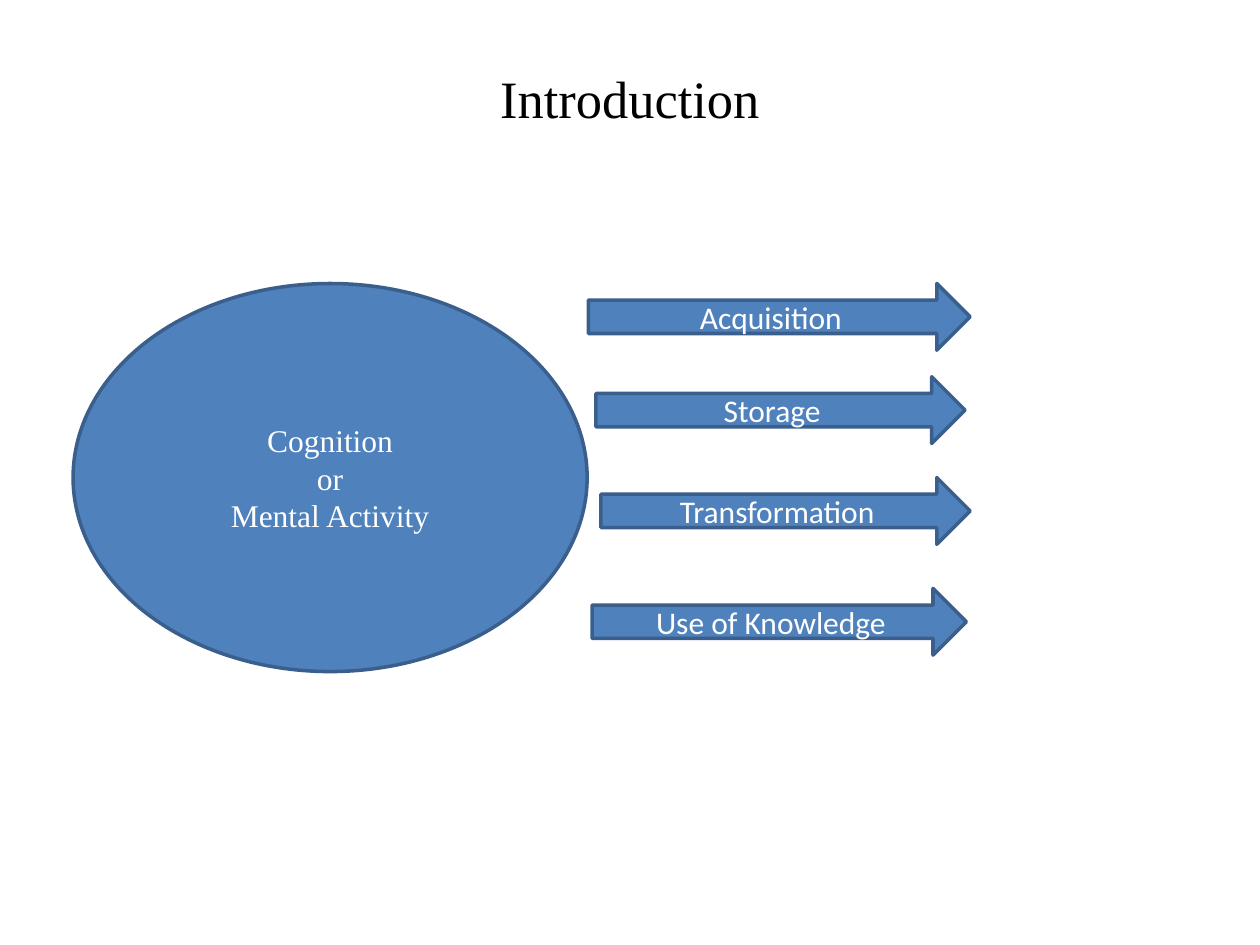
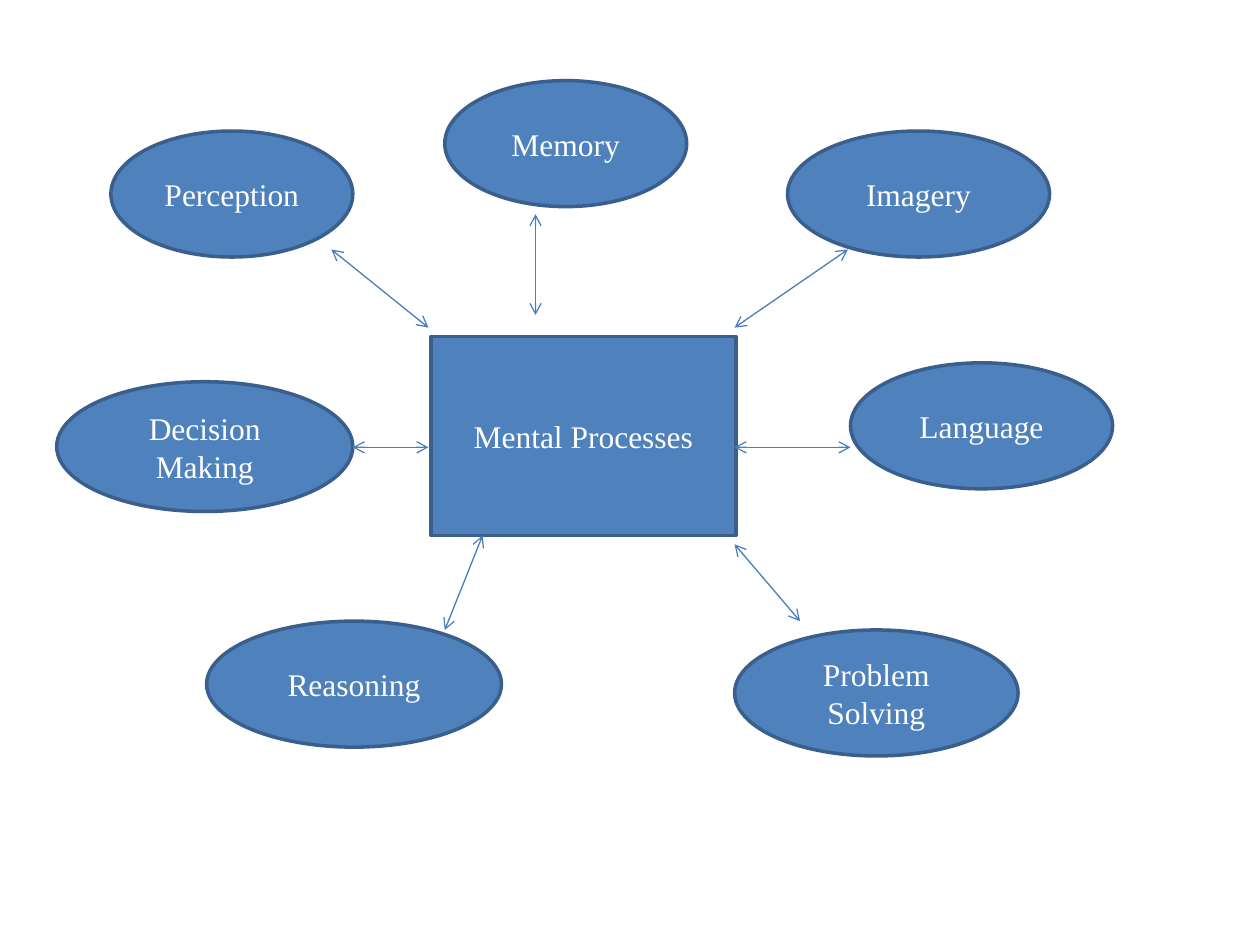
from lxml import etree
from pptx import Presentation
from pptx.dml.color import RGBColor
from pptx.enum.shapes import MSO_CONNECTOR, MSO_SHAPE
from pptx.enum.text import MSO_ANCHOR, PP_ALIGN
from pptx.oxml.ns import qn
from pptx.util import Pt

PX = 9144  # EMU per px, 100 px to the inch
BLANK_LAYOUT = 6
OVAL, RECTANGLE, ARROW = MSO_SHAPE.OVAL, MSO_SHAPE.RECTANGLE, MSO_SHAPE.RIGHT_ARROW
STRAIGHT = MSO_CONNECTOR.STRAIGHT
CENTER, MIDDLE = PP_ALIGN.CENTER, MSO_ANCHOR.MIDDLE

COLORS = {"title": "000000", "fill": "4F81BD", "outline": "3A5F8C",
          "label": "FFFFFF", "link": "4B7EBC"}
SERIF, SANS = "Times New Roman", "Calibri"
TITLE_SIZE, LABEL_SIZE = 30, 18

TITLE_BOX = (50, 30, 900, 95)
COGNITION_BOX = (58, 225, 712, 308)
PROCESSES_BOX = (45, 64, 838, 536)

# label, left, top, width within the diagram box
COGNITION_ARROWS = [
    ("Acquisition", 409, 0, 303),
    ("Storage", 415, 74, 293),
    ("Transformation", 419, 154, 293),
    ("Use of Knowledge", 412, 242, 297),
]
ARROW_HEIGHT = 53

# label, oval (left, top, width, height), link start, link end
PROCESSES = [
    ("Perception", (43, 40, 192, 100), (218, 134), (295, 196)),
    ("Memory", (308, 0, 192, 100), (380, 106), (380, 186)),
    ("Imagery", (580, 40, 208, 100), (628, 134), (538, 196)),
    ("Decision Making", (0, 239, 235, 103), (235, 291), (295, 291)),
    ("Reasoning", (119, 429, 234, 100), (338, 361), (308, 436)),
    ("Language", (630, 224, 208, 100), (538, 291), (630, 291)),
    ("Problem Solving", (538, 436, 225, 100), (538, 368), (590, 429)),
]
HUB = (297, 203, 242, 158)


def color(name):
    return RGBColor.from_string(COLORS[name])


def emu(*lengths):
    return [length * PX for length in lengths]


def within(box, left, top, *size):
    """Turn a place inside the box into slide lengths."""
    return emu(box[0] + left, box[1] + top, *size)


def set_text(shape, text, font, size, color_name):
    frame = shape.text_frame
    frame.word_wrap = True
    frame.vertical_anchor = MIDDLE
    frame.text = text
    for para in frame.paragraphs:
        para.alignment = CENTER
        for span in para.runs:
            span.font.name = font
            span.font.size = Pt(size)
            span.font.color.rgb = color(color_name)


def add_title(page, box, text):
    title = page.shapes.add_textbox(*emu(*box))
    set_text(title, text, TITLE_FONT, TITLE_SIZE, "title")


TITLE_FONT = SERIF


def add_node(page, kind, place, text, font=SERIF):
    node = page.shapes.add_shape(kind, *place)
    node.shadow.inherit = False
    node.fill.solid()
    node.fill.fore_color.rgb = color("fill")
    node.line.color.rgb = color("outline")
    node.line.width = Pt(2)
    set_text(node, text, font, LABEL_SIZE, "label")


def add_link(page, start, end):
    """Draw a thin line with an open arrowhead at both ends."""
    link = page.shapes.add_connector(STRAIGHT, *start, *end)
    link.line.color.rgb = color("link")
    link.line.width = Pt(0.75)
    outline = link.line._get_or_add_ln()
    for end_tag in ("a:headEnd", "a:tailEnd"):
        etree.SubElement(outline, qn(end_tag), type="arrow")
    etree.SubElement(link._element.spPr, qn("a:effectLst"))


def draw_cognition(page, box):
    add_node(page, OVAL, within(box, 0, 0, 408, box[3]),
             "Cognition\nor\nMental Activity")
    for label, left, top, width in COGNITION_ARROWS:
        place = within(box, left, top, width, ARROW_HEIGHT)
        add_node(page, ARROW, place, label, SANS)


def draw_processes(page, box):
    add_node(page, RECTANGLE, within(box, *HUB), "Mental Processes")
    for label, oval, start, end in PROCESSES:
        add_node(page, OVAL, within(box, *oval), label)
        add_link(page, within(box, *start), within(box, *end))


def main():
    deck = Presentation()
    deck.slide_width, deck.slide_height = emu(1000, 750)
    layout = deck.slide_layouts[BLANK_LAYOUT]

    introduction = deck.slides.add_slide(layout)
    add_title(introduction, TITLE_BOX, "Introduction")
    draw_cognition(introduction, COGNITION_BOX)

    processes = deck.slides.add_slide(layout)
    draw_processes(processes, PROCESSES_BOX)

    deck.save("out.pptx")


if __name__ == "__main__":
    main()
